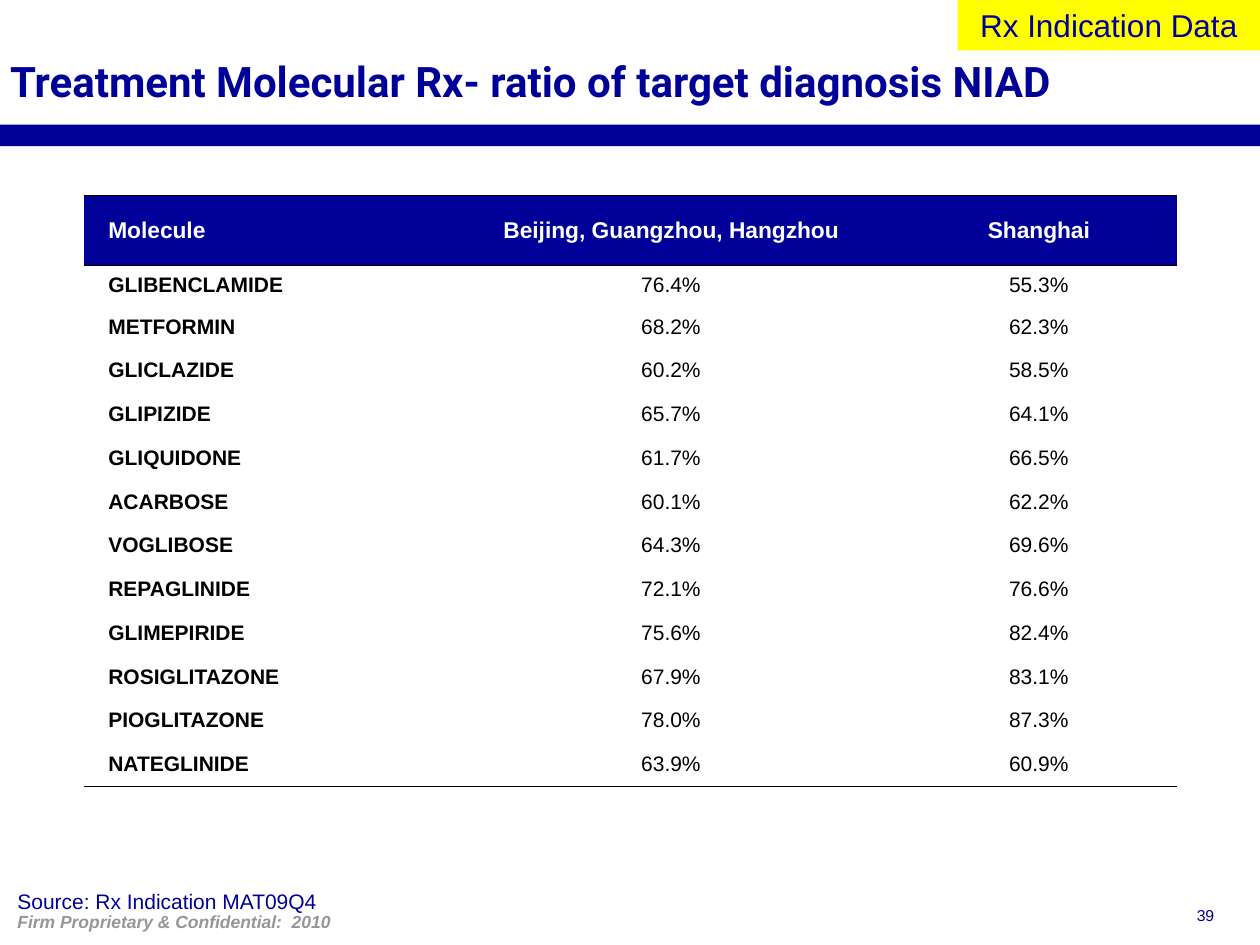
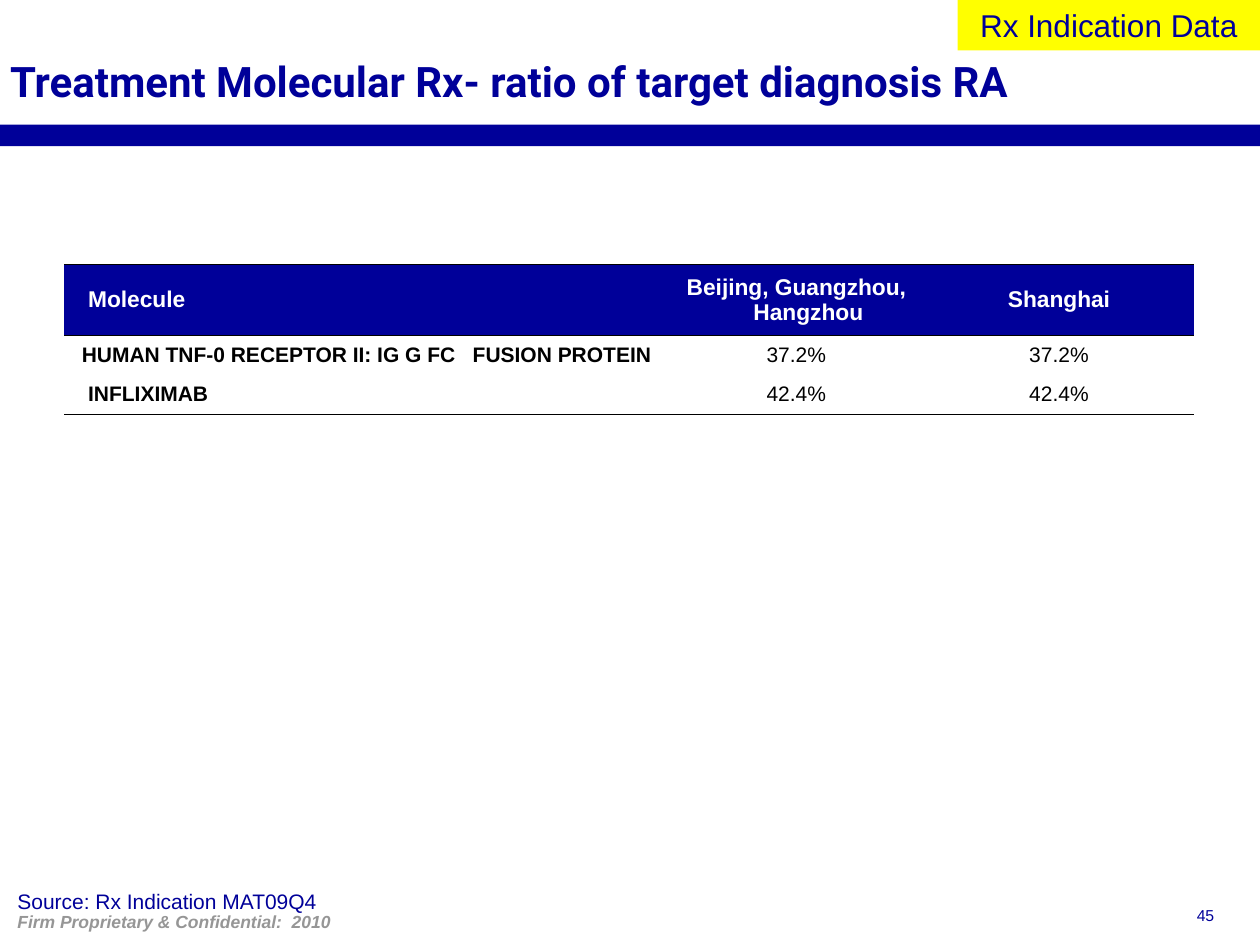
from lxml import etree
from pptx import Presentation
from pptx import util as u
from pptx.dml.color import RGBColor
from pptx.enum import shapes, text
from pptx.oxml.ns import qn

NAVY = RGBColor(0x00, 0x00, 0x99)
YELLOW = RGBColor(0xFF, 0xFF, 0x00)
GRAY = RGBColor(0x96, 0x96, 0x96)
WHITE = RGBColor(0xFF, 0xFF, 0xFF)
BLACK = RGBColor(0x00, 0x00, 0x00)

TAG = "Rx Indication Data"
SOURCE = "Source: Rx Indication MAT09Q4"
CONFIDENTIAL = "Firm Proprietary & Confidential:  2010"
HEADER = ("Molecule", "Beijing, Guangzhou, Hangzhou", "Shanghai")

PAGES = [
    {
        "title": "Treatment Molecular Rx- ratio of target diagnosis NIAD",
        "number": "39",
        "table_at": (0.67, 1.55),
        "table_height": 4.69,
        "columns": (2.83, 3.65, 2.19),
        "name_margins": {},
        "ratios": [
            ("GLIBENCLAMIDE", "76.4%", "55.3%"),
            ("METFORMIN", "68.2%", "62.3%"),
            ("GLICLAZIDE", "60.2%", "58.5%"),
            ("GLIPIZIDE", "65.7%", "64.1%"),
            ("GLIQUIDONE", "61.7%", "66.5%"),
            ("ACARBOSE", "60.1%", "62.2%"),
            ("VOGLIBOSE", "64.3%", "69.6%"),
            ("REPAGLINIDE", "72.1%", "76.6%"),
            ("GLIMEPIRIDE", "75.6%", "82.4%"),
            ("ROSIGLITAZONE", "67.9%", "83.1%"),
            ("PIOGLITAZONE", "78.0%", "87.3%"),
            ("NATEGLINIDE", "63.9%", "60.9%"),
        ],
    },
    {
        "title": "Treatment Molecular Rx- ratio of target diagnosis RA",
        "number": "45",
        "table_at": (0.51, 2.1),
        "table_height": 1.19,
        "columns": (4.8, 2.02, 2.15),
        "name_margins": {1: 0.14},
        "ratios": [
            ("HUMAN TNF-0 RECEPTOR II: IG G FC   FUSION PROTEIN", "37.2%", "37.2%"),
            ("INFLIXIMAB", "42.4%", "42.4%"),
        ],
    },
]

HEADER_HEIGHT, FIRST_HEIGHT = 0.56, 0.31
NAME_MARGIN = 0.19
HANGING = u.Inches(0.19)
BORDER_WIDTH = u.Pt(0.45)


def place(box, left, top, width, height):
    box.left, box.top = u.Inches(left), u.Inches(top)
    box.width, box.height = u.Inches(width), u.Inches(height)


def write(frame, words, size, color, font="Arial", bold=False, italic=False,
          align=text.PP_ALIGN.LEFT):
    frame.text = words
    para = frame.paragraphs[0]
    para.alignment = align
    for span in para.runs:
        span.font.name, span.font.size = font, u.Pt(size)
        span.font.bold, span.font.italic = bold, italic
        span.font.color.rgb = color


def add_block(page, at, fill):
    block = page.shapes.add_shape(shapes.MSO_SHAPE.RECTANGLE, *map(u.Inches, at))
    block.shadow.inherit = False
    block.fill.solid()
    block.fill.fore_color.rgb = fill
    block.line.fill.background()
    return block


def add_label(page, at, words, size, color, wrap=True, **style):
    box = page.shapes.add_textbox(*map(u.Inches, at))
    box.text_frame.word_wrap = wrap
    write(box.text_frame, words, size, color, **style)


def set_borders(cell, ruled):
    """Rule the named edges in black and clear the others."""
    properties = cell._tc.get_or_add_tcPr()
    for position, edge in enumerate(("lnL", "lnR", "lnT", "lnB")):
        line = etree.Element(qn("a:" + edge), w=str(BORDER_WIDTH))
        if edge in ruled:
            fill = etree.SubElement(line, qn("a:solidFill"))
            etree.SubElement(fill, qn("a:srgbClr"), val=str(BLACK))
        else:
            etree.SubElement(line, qn("a:noFill"))
        properties.insert(position, line)


def add_ratio_table(page, content):
    rows = [HEADER] + content["ratios"]
    last = len(rows) - 1
    columns, height = content["columns"], content["table_height"]
    other_height = (height - HEADER_HEIGHT - FIRST_HEIGHT) / (last - 1)
    heights = [HEADER_HEIGHT, FIRST_HEIGHT] + [other_height] * (last - 1)

    at = (*content["table_at"], sum(columns), height)
    table = page.shapes.add_table(len(rows), len(columns), *map(u.Inches, at)).table
    table.first_row = table.horz_banding = False
    for column, width in zip(table.columns, columns):
        column.width = u.Inches(width)

    for r, row in enumerate(rows):
        table.rows[r].height = u.Inches(heights[r])
        is_header = r == 0
        ruled = {"lnT"} if r <= 1 else set()
        if r in (0, last):
            ruled.add("lnB")
        for c, words in enumerate(row):
            cell = table.cell(r, c)
            cell.vertical_anchor = text.MSO_ANCHOR.MIDDLE
            is_name = c == 0
            write(cell.text_frame, words, 13 if is_header else 12,
                  WHITE if is_header else BLACK, bold=is_header or is_name,
                  align=text.PP_ALIGN.LEFT if is_name else text.PP_ALIGN.CENTER)
            if is_name:
                margin = content["name_margins"].get(r, NAME_MARGIN)
                cell.margin_left = u.Inches(margin)
            else:
                properties = cell.text_frame.paragraphs[0]._p.get_or_add_pPr()
                properties.set("marL", str(HANGING))
                properties.set("indent", str(-HANGING))
            if is_header:
                cell.fill.solid()
                cell.fill.fore_color.rgb = NAVY
            else:
                cell.fill.background()
            set_borders(cell, ruled)


def add_title(page, words):
    title = page.shapes.title
    place(title, 0.08, 0.44, 9.73, 0.4)
    frame = title.text_frame
    frame.margin_left = frame.margin_right = frame.margin_top = frame.margin_bottom = 0
    frame.vertical_anchor = text.MSO_ANCHOR.TOP
    frame.auto_size = text.MSO_AUTO_SIZE.NONE
    write(frame, words, 24, NAVY, font="Roboto", bold=True)


def add_page(deck, content):
    page = deck.slides.add_slide(deck.slide_layouts[5])
    add_block(page, (0, 0.99, 10, 0.17), NAVY)
    add_title(page, content["title"])
    add_ratio_table(page, content)
    tag = add_block(page, (7.6, 0, 2.4, 0.4), YELLOW)
    write(tag.text_frame, TAG, 18, NAVY, align=text.PP_ALIGN.CENTER)
    add_label(page, (0.04, 7, 6.46, 0.3), SOURCE, 12, NAVY)
    add_label(page, (0.04, 7.18, 6.22, 0.27), CONFIDENTIAL, 10, GRAY,
              bold=True, italic=True)
    add_label(page, (9.4, 7.14, 0.77, 0.25), content["number"], 9, NAVY, wrap=False)


def main():
    deck = Presentation()
    deck.slide_width, deck.slide_height = u.Inches(10), u.Inches(7.5)
    for content in PAGES:
        add_page(deck, content)
    deck.save("out.pptx")


if __name__ == "__main__":
    main()
